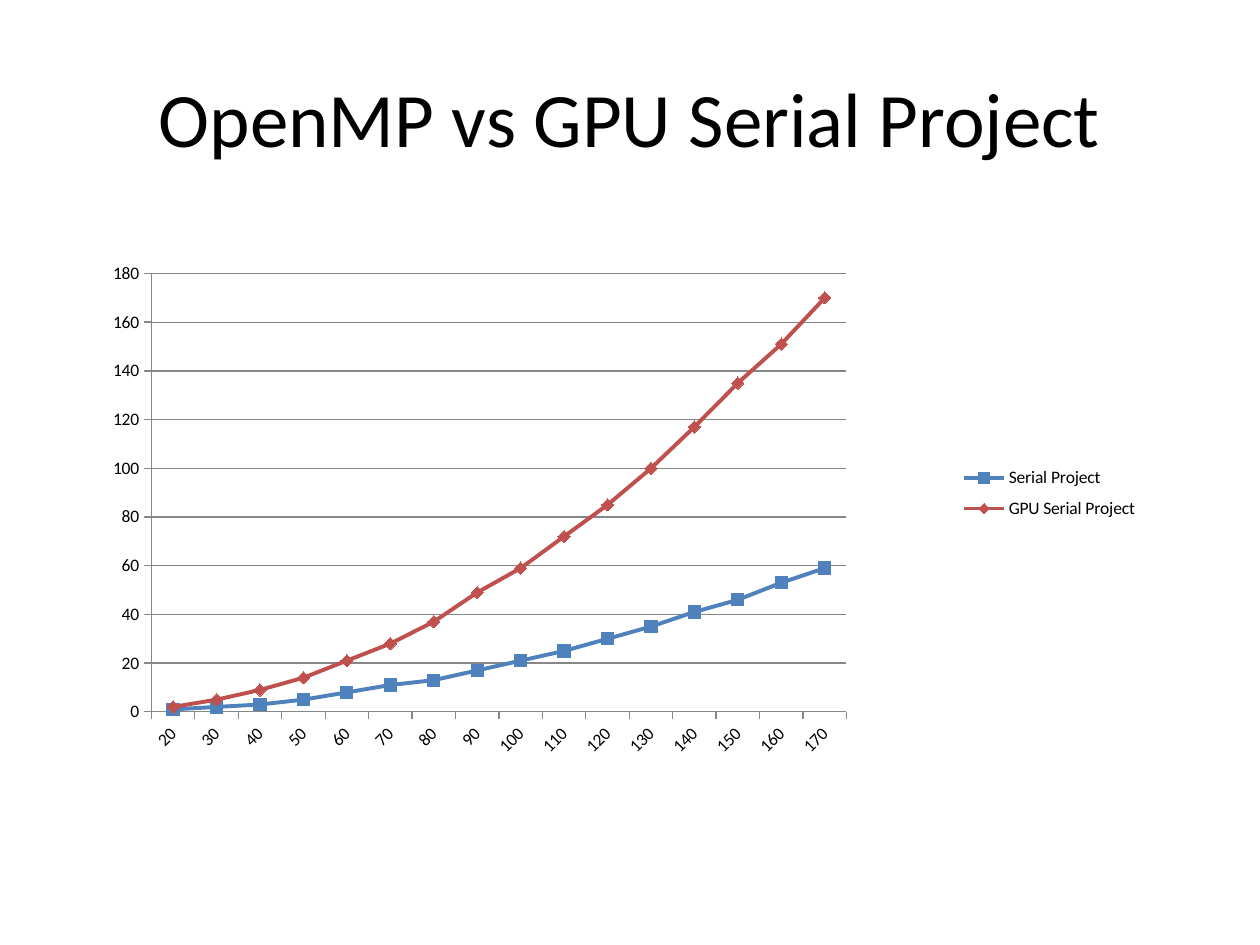
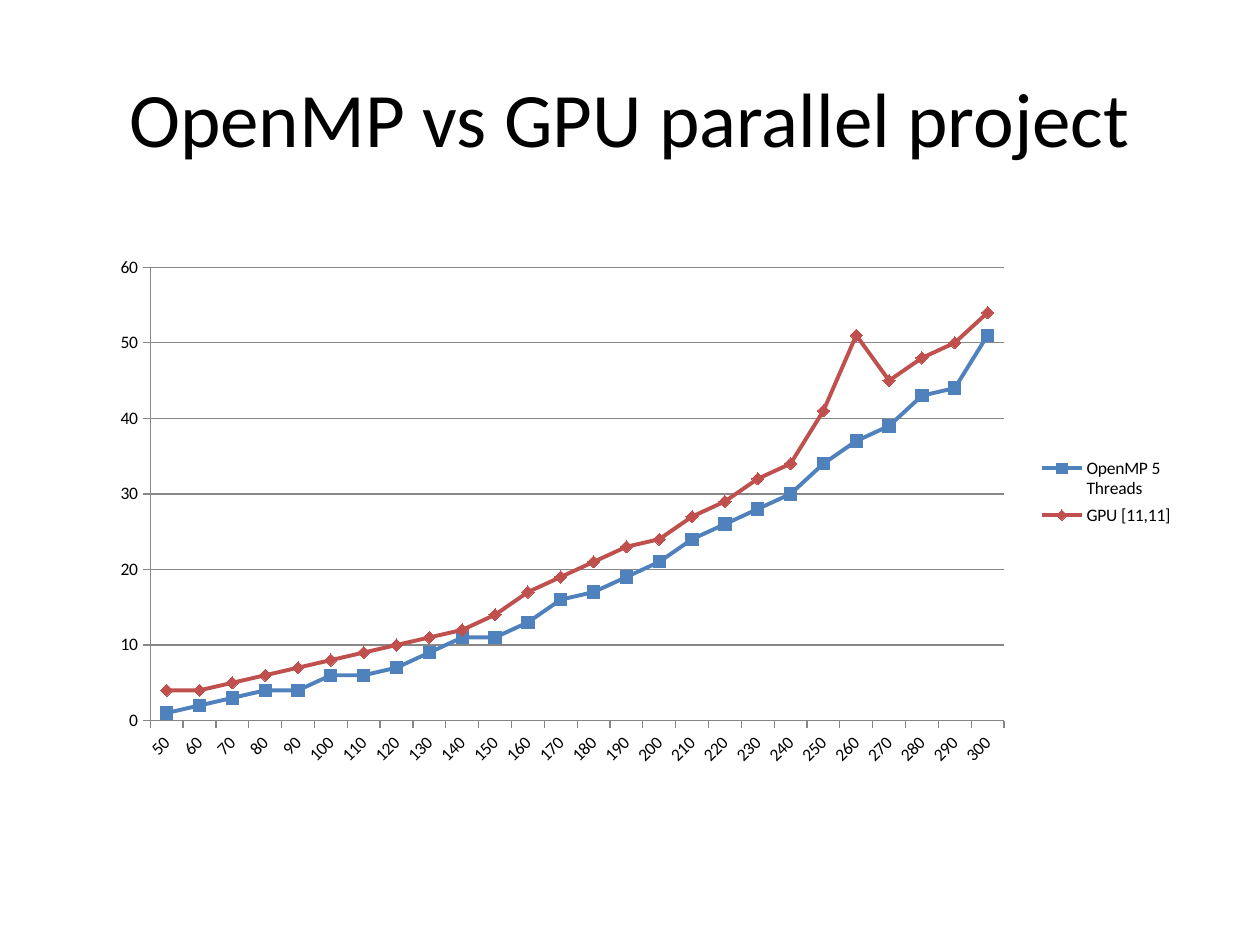
"""Build two slides comparing OpenMP and GPU timings as line charts."""
from pptx import Presentation
from pptx.chart.data import CategoryChartData as ChartData
from pptx.dml.color import RGBColor as Color
from pptx.enum.chart import XL_CHART_TYPE as ChartType, XL_LEGEND_POSITION as LegendPosition
from pptx.enum.chart import XL_MARKER_STYLE as Marker, XL_TICK_MARK as TickMark
from pptx.enum.text import MSO_ANCHOR as Anchor, PP_ALIGN as Align
from pptx.oxml import parse_xml
from pptx.oxml.ns import nsdecls
from pptx.util import Inches, Pt

COLORS = {"text": "000000", "axis": "878787", "first": "4F81BD", "second": "C0504D"}
FONT = "Calibri"
TITLE_FORMAT = {"name": FONT, "size": Pt(44)}
CHART_FORMAT = {"name": FONT, "size": Pt(10)}
SERIES_STYLES = [("first", Marker.SQUARE), ("second", Marker.DIAMOND)]

COMPARISONS = [
    {
        "title": "OpenMP vs GPU Serial Project",
        "sizes": range(20, 171, 10),
        "plot": (0.078, 0.085, 0.613, 0.703),
        "legend": (0.76, 0.38, 0.22, 0.115),
        "series": {
            "Serial Project": [1, 2, 3, 5, 8, 11, 13, 17, 21, 25, 30, 35, 41, 46, 53, 59],
            "GPU Serial Project": [2, 5, 9, 14, 21, 28, 37, 49, 59, 72, 85, 100, 117, 135,
                                   151, 170],
        },
    },
    {
        "title": "OpenMP vs GPU parallel project",
        "sizes": range(50, 301, 10),
        "plot": (0.077, 0.075, 0.753, 0.727),
        "legend": (0.85, 0.37, 0.14, 0.13),
        "series": {
            "OpenMP 5 Threads": [1, 2, 3, 4, 4, 6, 6, 7, 9, 11, 11, 13, 16, 17, 19, 21, 24,
                                 26, 28, 30, 34, 37, 39, 43, 44, 51],
            "GPU [11,11]": [4, 4, 5, 6, 7, 8, 9, 10, 11, 12, 14, 17, 19, 21, 23, 24, 27,
                            29, 32, 34, 41, 51, 45, 48, 50, 54],
        },
    },
]


def apply_font(font, formats):
    for attribute, value in formats.items():
        setattr(font, attribute, value)
    font.color.rgb = Color.from_string(COLORS["text"])


def place(parent, index, box, target=""):
    for old_layout in parent.xpath("c:layout"):
        parent.remove(old_layout)
    modes = '<c:xMode val="edge"/><c:yMode val="edge"/>'
    sides = "".join(f'<c:{side} val="{value}"/>' for side, value in zip("xywh", box))
    parent.insert(index, parse_xml(
        f'<c:layout {nsdecls("c")}><c:manualLayout>{target}{modes}{sides}'
        "</c:manualLayout></c:layout>"))


presentation = Presentation()
presentation.slide_width = Inches(10)
presentation.slide_height = Inches(7.5)

for comparison in COMPARISONS:
    slide = presentation.slides.add_slide(presentation.slide_layouts[6])

    title = slide.shapes.add_textbox(Inches(0.5), Inches(0.3), Inches(9), Inches(1.25))
    title.text_frame.word_wrap = True
    title.text_frame.vertical_anchor = Anchor.MIDDLE
    paragraph = title.text_frame.paragraphs[0]
    paragraph.text = comparison["title"]
    paragraph.alignment = Align.CENTER
    apply_font(paragraph.font, TITLE_FORMAT)

    data = ChartData()
    data.categories = [str(size) for size in comparison["sizes"]]
    for name, timings in comparison["series"].items():
        data.add_series(name, timings)
    chart = slide.shapes.add_chart(
        ChartType.LINE_MARKERS, Inches(0.5), Inches(1.75), Inches(9), Inches(4.95), data).chart
    chart.has_title = False
    apply_font(chart.font, CHART_FORMAT)
    chart.plots[0].vary_by_categories = False

    chart.has_legend = True
    chart.legend.position = LegendPosition.RIGHT
    chart.legend.include_in_layout = False
    place(chart.element.xpath(".//c:legend")[0], 1, comparison["legend"])
    place(chart.element.xpath(".//c:plotArea")[0], 0, comparison["plot"],
          '<c:layoutTarget val="inner"/>')

    chart.value_axis.has_major_gridlines = True
    chart.category_axis.has_major_gridlines = False
    for axis in (chart.category_axis, chart.value_axis):
        axis.major_tick_mark = TickMark.OUTSIDE
        axis.minor_tick_mark = TickMark.NONE
        apply_font(axis.tick_labels.font, CHART_FORMAT)
    chart.element.xpath(".//c:catAx/c:txPr/a:bodyPr")[0].set("rot", "-2700000")
    for line in (chart.category_axis.format.line, chart.value_axis.format.line,
                 chart.value_axis.major_gridlines.format.line):
        line.color.rgb = Color.from_string(COLORS["axis"])
        line.width = Pt(0.75)

    for series, (color_name, marker_style) in zip(chart.plots[0].series, SERIES_STYLES):
        color = Color.from_string(COLORS[color_name])
        series.smooth = False
        series.format.line.color.rgb = color
        series.format.line.width = Pt(2.25)
        series.marker.style = marker_style
        series.marker.size = 7
        series.marker.format.fill.solid()
        series.marker.format.fill.fore_color.rgb = color
        series.marker.format.line.color.rgb = color

presentation.save("out.pptx")
